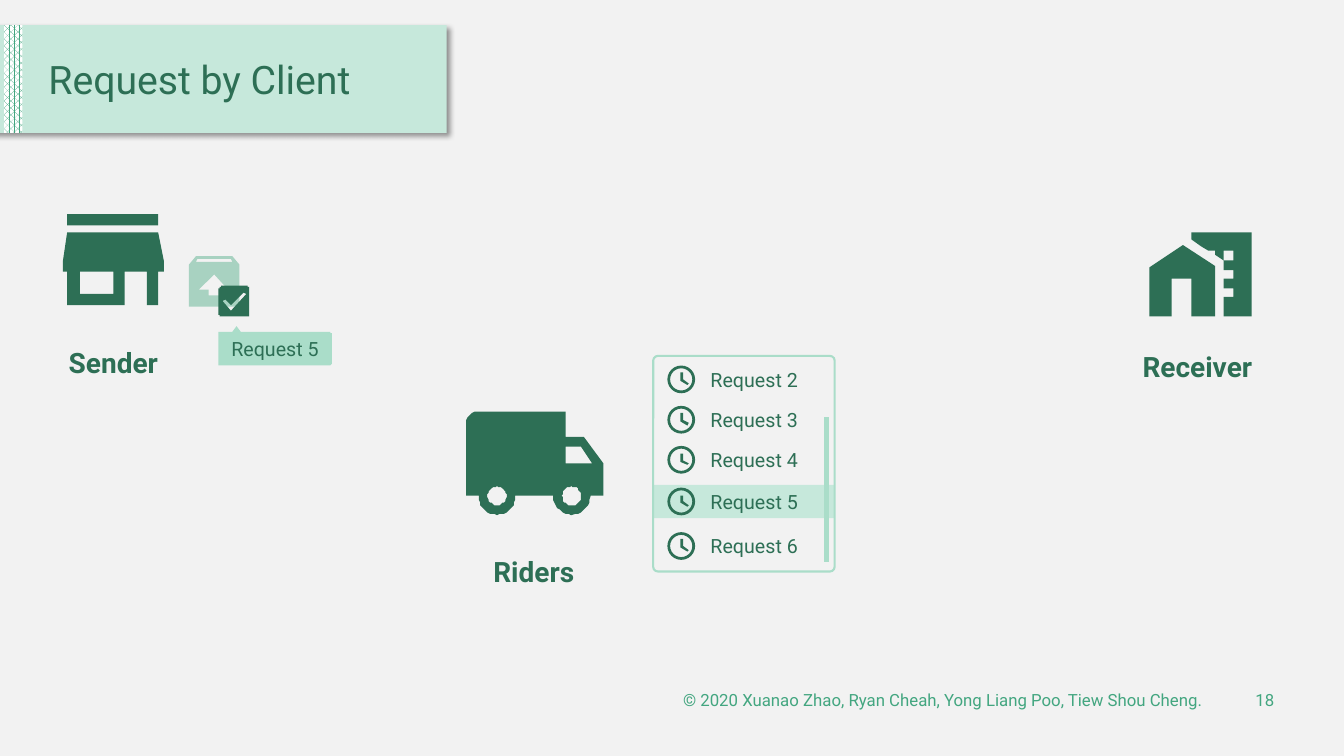
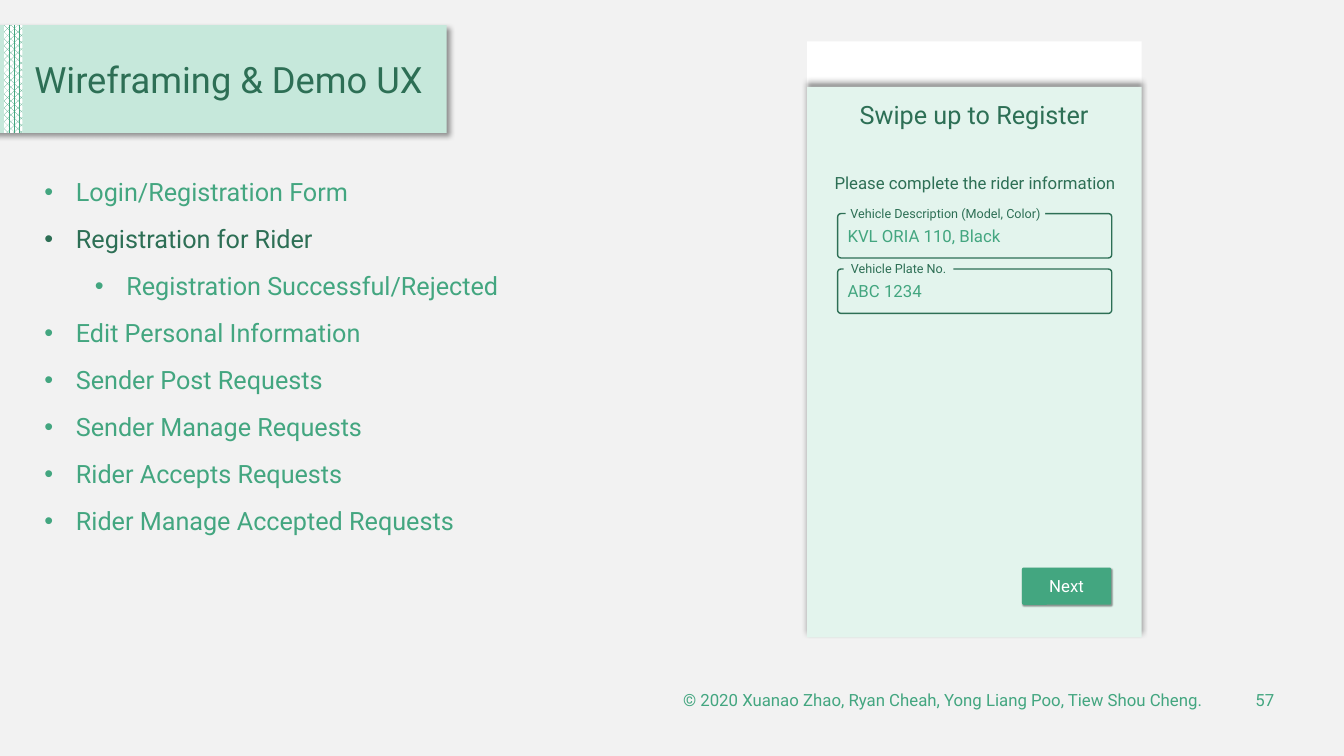
import math
from dataclasses import dataclass

import lxml.etree
import pptx
import pptx.dml.color
import pptx.enum.dml
import pptx.enum.shapes
import pptx.enum.text
import pptx.oxml.ns
import pptx.util

Pt = pptx.util.Pt
qn = pptx.oxml.ns.qn
SHAPE = pptx.enum.shapes.MSO_SHAPE
ALIGN = pptx.enum.text.PP_ALIGN
ANCHOR = pptx.enum.text.MSO_ANCHOR
FONT = "Roboto"
COLORS = {
    "paper": "F2F2F2", "white": "FFFFFF", "dark": "2D6F55", "green": "43A680",
    "mint": "AADDC9", "band": "C6E8DB", "panel": "E3F4ED", "parcel": "A8D2C1",
    "black": "000000",
}
CREDIT = "© 2020 Xuanao Zhao, Ryan Cheah, Yong Liang Poo, Tiew Shou Cheng."

Point = tuple[float, float]
Contour = list[Point]
Box = tuple[float, float, float, float]


@dataclass
class Shadow:
    blur: float
    dist: float
    angle: int


@dataclass
class Request:
    name: str
    middle: float


@dataclass
class Field:
    label: str
    value: str
    top: float
    label_left: float
    label_width: float


@dataclass
class Topic:
    text: str
    color: str = "green"
    level: int = 0


REQUESTS = [
    Request("Request 2", 271), Request("Request 3", 299.8),
    Request("Request 4", 328.4), Request("Request 5", 358.2),
    Request("Request 6", 390),
]
FIELDS = [
    Field("Vehicle Description (Model, Color)", "KVL ORIA 110, Black", 152.6, 604, 142.6),
    Field("Vehicle Plate No.", "ABC 1234", 192.2, 602.6, 78.5),
]
TOPICS = [
    Topic("Login/Registration Form"),
    Topic("Registration for Rider", "dark"),
    Topic("Registration Successful/Rejected", level=1),
    Topic("Edit Personal Information"),
    Topic("Sender Post Requests"),
    Topic("Sender Manage Requests"),
    Topic("Rider Accepts Requests"),
    Topic("Rider Manage Accepted Requests"),
]


def rgb(name: str) -> pptx.dml.color.RGBColor:
    return pptx.dml.color.RGBColor.from_string(COLORS[name])


def write(p, text: str, *, size: float = 12, color: str = "dark",
          bold: bool = False, align=ALIGN.LEFT) -> None:
    p.alignment = align
    r = p.add_run()
    r.text = text
    r.font.name = FONT
    r.font.size = Pt(size)
    r.font.bold = bold
    r.font.color.rgb = rgb(color)


def place(sp, box: Box) -> None:
    sp.left, sp.top, sp.width, sp.height = map(Pt, box)


def add_text(s, box: Box, text: str, *, anchor=ANCHOR.TOP, **style) -> None:
    tf = s.shapes.add_textbox(*map(Pt, box)).text_frame
    tf.word_wrap = True
    tf.vertical_anchor = anchor
    write(tf.paragraphs[0], text, **style)


def paint(sp, fill: str | None, line: str | None = None, width: float = 1,
          shadow: Shadow | None = None) -> None:
    if fill:
        sp.fill.solid()
        sp.fill.fore_color.rgb = rgb(fill)
    else:
        sp.fill.background()
    if line:
        sp.line.color.rgb = rgb(line)
        sp.line.width = Pt(width)
    else:
        sp.line.fill.background()
    sp.shadow.inherit = False
    if shadow:
        effects = sp.element.spPr.find(qn("a:effectLst"))
        outer = lxml.etree.SubElement(
            effects, qn("a:outerShdw"), blurRad=str(Pt(shadow.blur)),
            dist=str(Pt(shadow.dist)), dir=str(shadow.angle * 60000), rotWithShape="0")
        clr = lxml.etree.SubElement(outer, qn("a:srgbClr"), val=COLORS["black"])
        lxml.etree.SubElement(clr, qn("a:alpha"), val="40000")


def add_shape(s, kind, box: Box, fill: str | None, *, adj: float | None = None, **look):
    sp = s.shapes.add_shape(kind, *map(Pt, box))
    if adj is not None:
        sp.adjustments[0] = adj
    paint(sp, fill, **look)
    return sp


def add_outline(s, contours: list[Contour], fill: str = "dark"):
    fb = s.shapes.build_freeform(*contours[0][0], scale=float(Pt(1)))
    for i, contour in enumerate(contours):
        if i:
            fb.move_to(*contour[0])
        fb.add_line_segments(contour[1:], close=True)
    sp = fb.convert_to_shape()
    paint(sp, fill)
    return sp


def rect(left: float, top: float, right: float, bottom: float) -> Contour:
    return [(left, top), (right, top), (right, bottom), (left, bottom)]


def arc(cx: float, cy: float, radius: float, start: int, end: int) -> Contour:
    steps = max(6, abs(end - start) // 10)
    angles = [math.radians(start + (end - start) * i / steps) for i in range(steps + 1)]
    return [(cx + radius * math.cos(a), cy + radius * math.sin(a)) for a in angles]


def rounded(left: float, top: float, right: float, bottom: float, radius: float) -> Contour:
    x0, x1, y0, y1 = left + radius, right - radius, top + radius, bottom - radius
    return (arc(x1, y0, radius, -90, 0) + arc(x1, y1, radius, 0, 90)
            + arc(x0, y1, radius, 90, 180) + arc(x0, y0, radius, 180, 270))


def build_master(prs, s) -> None:
    master = prs.slide_master
    master.background.fill.solid()
    master.background.fill.fore_color.rgb = rgb("paper")
    band = add_shape(s, SHAPE.RECTANGLE, (-15, 18, 334, 77), "band", shadow=Shadow(4, 3, 45))
    strip = add_shape(s, SHAPE.RECTANGLE, (3, 18, 13, 77), "white")
    strip.fill.patterned()
    strip.fill.pattern = pptx.enum.dml.MSO_PATTERN.PERCENT_70
    strip.fill.fore_color.rgb = rgb("green")
    strip.fill.back_color.rgb = rgb("white")
    for i, sp in enumerate((band, strip)):
        master.shapes.element.insert(2 + i, sp.element)


def add_title(s, text: str, box: Box, size: float) -> None:
    sp = s.shapes.title
    place(sp, box)
    tf = sp.text_frame
    tf.auto_size = pptx.enum.text.MSO_AUTO_SIZE.NONE
    tf.word_wrap = True
    tf.vertical_anchor = ANCHOR.MIDDLE
    p = tf.paragraphs[0]
    p.line_spacing = 0.9
    write(p, text, size=size)


def add_footer(s, number: int) -> None:
    for left, width, text in ((391.7, 474.5, CREDIT), (874.8, 42.5, str(number))):
        add_text(s, (left, 485.3, width, 28.8), text, color="green",
                 align=ALIGN.RIGHT, anchor=ANCHOR.MIDDLE)


def add_store(s) -> None:
    add_outline(s, [
        rect(48.2, 153.4, 113, 161.3),
        [(117.4, 193.7), (117.4, 185.8), (113, 165.6), (48.2, 165.6), (44.6, 185.8),
         (44.6, 193.7), (48.2, 193.7), (48.2, 218.2), (88.6, 218.2), (88.6, 193.7),
         (105.1, 193.7), (105.1, 218.2), (113, 218.2), (113, 193.7)],
        rect(56.9, 193.7, 80.6, 209.5),
    ])


def add_parcel(s) -> None:
    add_outline(s, [
        [(166.3, 182.9), (139.7, 182.9), (135.2, 188.6), (135.2, 218.9),
         (170.6, 218.9), (170.6, 188.6)],
        [(157, 206.6), (157, 211), (149, 211), (149, 206.6), (141.8, 206.6),
         (152.6, 195.8), (163.4, 206.6)],
        [(139.7, 187.2), (141.1, 185), (164.9, 185), (166.3, 187.2)],
    ], "parcel")


def add_homes(s) -> None:
    add_outline(s, [[
        (844.6, 175), (820.8, 190.8), (820.8, 226.1), (837.4, 226.1), (837.4, 199.4),
        (851, 199.4), (851, 226.1), (867.6, 226.1), (867.6, 190.1)]])
    add_outline(s, [
        [(851, 165.6), (851, 170.6), (857.5, 175.7), (862.6, 179.3), (867.6, 179.3),
         (867.6, 182.2), (874.1, 186.5), (874.1, 193), (881.3, 193), (881.3, 199.4),
         (874.1, 199.4), (874.1, 205.9), (881.3, 205.9), (881.3, 212.4),
         (874.1, 212.4), (874.1, 226.1), (894.2, 226.1), (894.2, 165.6)],
        rect(874.1, 179.3, 881.3, 185.8),
    ])


def add_truck(s) -> None:
    wheels, axle = (355, 408.2), 354.2
    body = [(416.9, 312.5), (403.9, 312.5), (403.9, 293.8)]
    body += arc(341.7, 302.9, 9.1, 270, 180) + [(332.6, axle)]
    for x in wheels:
        body += arc(x, axle, 13.3, 180, 0)
    body += [(430.6, axle), (430.6, 331.2)]
    cab_window = [(414.7, 319), (423.4, 331.2), (403.9, 331.2), (403.9, 319)]
    add_outline(s, [body, cab_window] + [arc(x, axle, 6.8, 0, 360) for x in wheels])


def add_request(s, request: Request) -> None:
    cx, cy, size = 486.6, request.middle, 19.8
    add_shape(s, SHAPE.DONUT, (cx - size / 2, cy - size / 2, size, size), "dark", adj=0.1)
    hands = [(0.9, -4.7), (-0.6, -4.7), (-0.6, 1.1), (4.5, 4), (5.2, 2.7), (0.9, 0.2)]
    add_outline(s, [[(cx + x, cy + y) for x, y in hands]])
    add_text(s, (500.4, cy - 12, 90, 24), request.name, size=14, anchor=ANCHOR.MIDDLE)


def add_callout(s) -> None:
    pointer = [(166.3, 236.9), (169.2, 232.6), (172.1, 236.9)]
    sp = add_outline(s, [pointer + rounded(155.5, 236.9, 236.9, 261.4, 2.5)], "mint")
    sp.text_frame.word_wrap = True
    sp.text_frame.vertical_anchor = ANCHOR.BOTTOM
    write(sp.text_frame.paragraphs[0], "Request 5", size=14, align=ALIGN.CENTER)


def add_checkbox(s) -> None:
    tick = [(164.9, 221.8), (159.1, 215.3), (160.6, 213.8), (164.9, 218.2),
            (174.2, 208.8), (175.7, 210.2)]
    add_outline(s, [rounded(156.3, 204.3, 178.5, 226.4, 2.4), tick])


def build_request_slide(s) -> None:
    add_title(s, "Request by Client", (27.4, 29.5, 285, 58.3), 28)
    add_store(s)
    add_parcel(s)
    add_homes(s)
    add_truck(s)
    for name, left, top, width in (("Sender", 32.4, 243.4, 97.2),
                                   ("Receiver", 802.4, 246.2, 105.8),
                                   ("Riders", 340.6, 392.4, 81.4)):
        add_text(s, (left, top, width, 31), name, size=20, bold=True, align=ALIGN.CENTER)
    add_shape(s, SHAPE.RECTANGLE, (466.6, 346.3, 129.6, 23.8), "band")
    add_shape(s, SHAPE.ROUNDED_RECTANGLE, (466.6, 254.2, 129.6, 154), None,
              adj=0.026, line="mint", width=1.5)
    for request in REQUESTS:
        add_request(s, request)
    scrollbar = s.shapes.add_connector(
        pptx.enum.shapes.MSO_CONNECTOR.STRAIGHT, *map(Pt, (590.4, 298, 590.4, 401.8)))
    scrollbar.line.color.rgb = rgb("mint")
    scrollbar.line.width = Pt(3)
    lxml.etree.SubElement(scrollbar.element.spPr, qn("a:effectLst"))
    add_callout(s)
    add_checkbox(s)


def add_field(s, field: Field) -> None:
    add_shape(s, SHAPE.ROUNDED_RECTANGLE, (598.3, field.top, 195.8, 31.7), None,
              adj=0.075, line="dark")
    sp = add_shape(s, SHAPE.RECTANGLE,
                   (field.label_left, field.top - 5, field.label_width, 9.4), "panel")
    tf = sp.text_frame
    tf.margin_left = tf.margin_right = tf.margin_top = tf.margin_bottom = Pt(2.9)
    tf.word_wrap = False
    tf.vertical_anchor = ANCHOR.MIDDLE
    write(tf.paragraphs[0], field.label, size=9, align=ALIGN.CENTER)
    add_text(s, (598.3, field.top + 5, 192, 21.6), field.value, color="green")


def add_topics(s) -> None:
    sp = s.placeholders[1]
    place(sp, (24.5, 122.4, 359.3, 266.4))
    tf = sp.text_frame
    tf.auto_size = pptx.enum.text.MSO_AUTO_SIZE.NONE
    for i, topic in enumerate(TOPICS):
        p = tf.add_paragraph() if i else tf.paragraphs[0]
        p.level = topic.level
        p.space_before = Pt(12 if i else 0)
        pPr = p._p.get_or_add_pPr()
        pPr.set("marL", str(Pt(22.5 + 36 * topic.level)))
        pPr.set("indent", str(Pt(-22.5)))
        lxml.etree.SubElement(pPr, qn("a:buFont"), typeface="Arial")
        lxml.etree.SubElement(pPr, qn("a:buChar"), char="•")
        write(p, topic.text, size=18, color=topic.color)


def build_wireframe_slide(s) -> None:
    add_title(s, "Wireframing & Demo UX", (17.3, 29.5, 300.2, 58.3), 25.9)
    add_topics(s)
    add_shape(s, SHAPE.RECTANGLE, (576.5, 29.5, 239, 40), "white")
    add_shape(s, SHAPE.RECTANGLE, (576.5, 62, 239, 393.4), "panel", shadow=Shadow(4, 3, 270))
    add_text(s, (576, 67.7, 239.8, 28.8), "Swipe up to Register", size=18, align=ALIGN.CENTER)
    add_text(s, (589, 119.5, 226, 21.6), "Please complete the rider information")
    for field in FIELDS:
        add_field(s, field)
    button = add_shape(s, SHAPE.ROUNDED_RECTANGLE, (730, 405.4, 63.7, 26.6), "green",
                       adj=0.046, shadow=Shadow(1, 1, 45))
    button.text_frame.vertical_anchor = ANCHOR.MIDDLE
    write(button.text_frame.paragraphs[0], "Next", color="white", align=ALIGN.CENTER)


def main() -> None:
    prs = pptx.Presentation()
    prs.slide_width, prs.slide_height = Pt(960), Pt(540)
    pages = ((5, 18, build_request_slide), (1, 57, build_wireframe_slide))
    for i, (layout, number, build) in enumerate(pages):
        s = prs.slides.add_slide(prs.slide_layouts[layout])
        if i == 0:
            build_master(prs, s)
        build(s)
        add_footer(s, number)
    prs.save("out.pptx")


if __name__ == "__main__":
    main()
